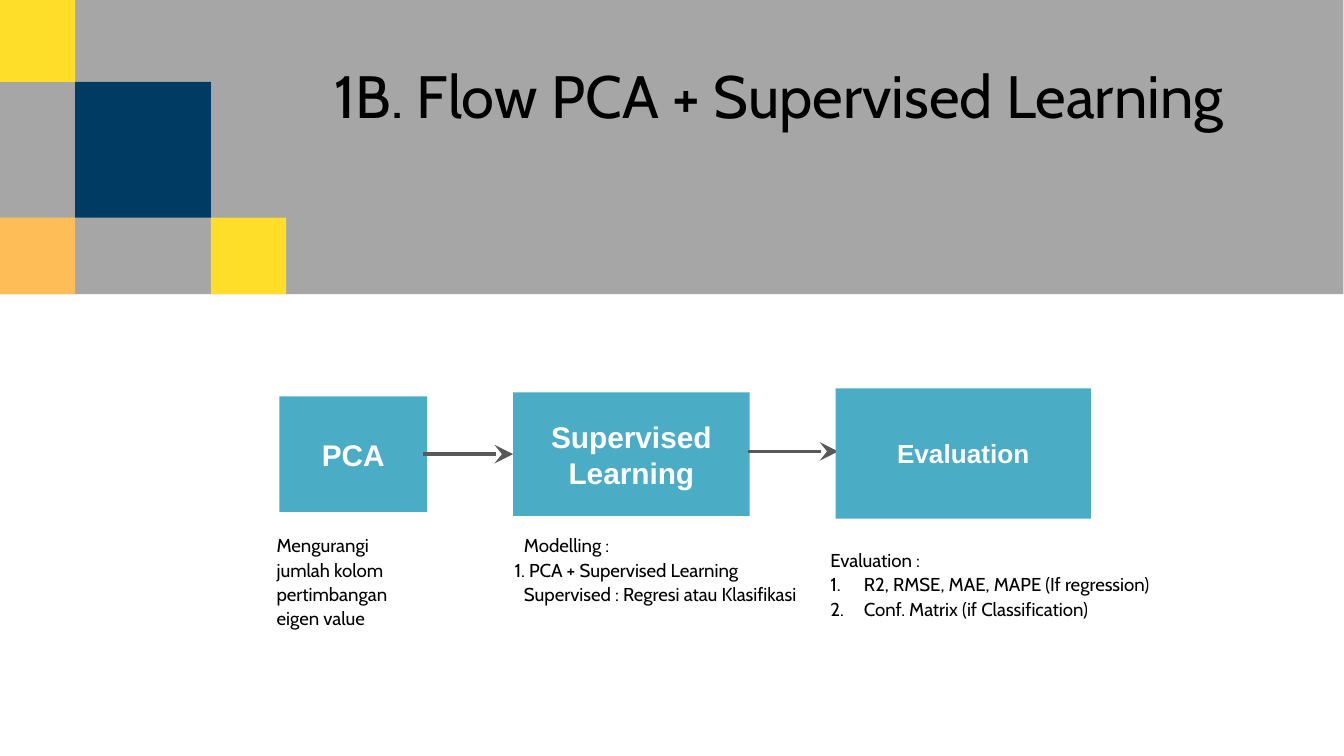
from lxml import etree
from pptx import Presentation
from pptx import util as u
from pptx.dml.color import RGBColor
from pptx.enum import shapes, text
from pptx.oxml import ns

PX = 9144  # EMU in one px, 100 px to the inch
SLIDE_SIZE = (9147175, 5145088)  # EMU, a hair wider than 1000 px
COLORS = {
    "band": "A6A6A6", "yellow": "FFDE2A", "navy": "003B64", "orange": "FFBD58",
    "step": "4BACC6", "arrow": "595959", "light": "FFFFFF", "dark": "000000",
}
TITLE = {"name": "Cabin", "size": u.Pt(32), "bold": False}
NOTE = {"name": "Cabin", "size": u.Pt(10), "bold": False}
STEP = {"name": "Arial", "size": u.Pt(16), "bold": True}


def px(*lengths):
    return [u.Emu(length * PX) for length in lengths]


def color(name):
    return RGBColor.from_string(COLORS[name])


def add_element(parent, tag, **attributes):
    return etree.SubElement(parent, ns.qn(tag), attributes)


class SlideBuilder:
    def __init__(self, presentation, layout):
        self.slide = presentation.slides.add_slide(presentation.slide_layouts[layout])

    def format(self, target, values):
        for name, value in values.items():
            setattr(target, name, value)

    def font(self, paragraph, style, ink):
        self.format(paragraph.font, style)
        paragraph.font.color.rgb = color(ink)

    def place(self, shape, box):
        self.format(shape, dict(zip(("left", "top", "width", "height"), px(*box))))
        self.slide.shapes._spTree.append(shape._element)  # bring to front

    def rectangle(self, box, fill):
        shape = self.slide.shapes.add_shape(shapes.MSO_SHAPE.RECTANGLE, *px(*box))
        shape.shadow.inherit = False
        shape.fill.solid()
        shape.fill.fore_color.rgb = color(fill)
        shape.line.fill.background()
        return shape

    def step(self, box, label, size=16):
        frame = self.rectangle(box, "step").text_frame
        self.format(frame, {"word_wrap": True,
                            "vertical_anchor": text.MSO_ANCHOR.MIDDLE})
        paragraph = frame.paragraphs[0]
        paragraph.text = label
        paragraph.alignment = text.PP_ALIGN.CENTER
        self.font(paragraph, {**STEP, "size": u.Pt(size)}, "light")

    def arrow(self, left, right, y):
        connector = self.slide.shapes.add_connector(
            shapes.MSO_CONNECTOR.STRAIGHT, *px(left, y, right, y))
        connector.line.color.rgb = color("arrow")
        connector.line.width = u.Pt(2)
        add_element(connector.line._get_or_add_ln(), "a:tailEnd",
                    type="stealth", w="lg", len="lg")
        add_element(connector._element.spPr, "a:effectLst")

    def title(self, box, label):
        shape = self.slide.shapes.title
        self.place(shape, box)
        frame = shape.text_frame
        self.format(frame, {
            "word_wrap": True, "auto_size": text.MSO_AUTO_SIZE.NONE,
            "vertical_anchor": text.MSO_ANCHOR.TOP, "margin_left": 0,
            "margin_top": px(1)[0], "margin_right": 0, "margin_bottom": 0})
        paragraph = frame.paragraphs[0]
        paragraph.text = label
        self.format(paragraph, {"alignment": text.PP_ALIGN.CENTER,
                                "line_spacing": 1.09})
        paragraph._p.get_or_add_pPr().set("marL", str(PX))
        self.font(paragraph, TITLE, "dark")

    def note(self, shape, box, lines):
        """Each line is (text, left margin, hanging indent); hanging lines are numbered."""
        self.place(shape, box)
        frame = shape.text_frame
        self.format(frame, {"word_wrap": True,
                            "auto_size": text.MSO_AUTO_SIZE.NONE,
                            "vertical_anchor": text.MSO_ANCHOR.TOP})
        for index, (label, margin, hanging) in enumerate(lines):
            paragraph = frame.add_paragraph() if index else frame.paragraphs[0]
            paragraph.text = label
            self.format(paragraph, {"line_spacing": 1.09, "space_before": u.Pt(0),
                                    "alignment": text.PP_ALIGN.LEFT})
            properties = paragraph._p.get_or_add_pPr()
            properties.set("marL", str(margin * PX))
            properties.set("indent", str(-hanging * PX))
            if hanging:
                bullet_color = add_element(properties, "a:buClr")
                add_element(bullet_color, "a:srgbClr", val=COLORS["dark"])
                add_element(properties, "a:buFont", typeface="+mj-lt")
                add_element(properties, "a:buAutoNum", type="arabicPeriod")
            else:
                add_element(properties, "a:buNone")
            self.font(paragraph, NOTE, "dark")

    def text_note(self, box, lines):
        self.note(self.slide.shapes.add_textbox(*px(*box)), box, lines)

    def list_note(self, index, box, lines):
        self.note(self.slide.placeholders[index], box, lines)


def main():
    presentation = Presentation()
    presentation.slide_width, presentation.slide_height = SLIDE_SIZE
    builder = SlideBuilder(presentation, layout=3)  # title and two bodies

    # Header band and its mosaic
    for box, fill in (
        ((0, 0, 1000, 219), "band"),
        ((0, 0, 56, 61), "yellow"),
        ((157, 162, 56, 57), "yellow"),
        ((56, 61, 101, 101), "navy"),
        ((0, 162, 56, 57), "orange"),
    ):
        builder.rectangle(box, fill)
    builder.title((214, 38, 731, 60), "1B. Flow PCA + Supervised Learning")

    # Flow
    builder.step((208, 295, 110, 86), "PCA")
    builder.step((382, 292, 176, 92), "Supervised Learning")
    builder.arrow(315, 382, 338)
    builder.arrow(557, 624, 336)
    builder.step((622, 289, 190, 97), "Evaluation", size=14)

    # Notes under the steps
    builder.text_note((157, 391, 165, 82), [
        ("Mengurangi jumlah kolom pertimbangan eigen value", 39, 0)])
    builder.list_note(1, (341, 391, 262, 82), [
        ("Modelling :", 39, 0),
        (" PCA + Supervised Learning", 39, 7),
        ("Supervised : Regresi atau Klasifikasi", 39, 0)])
    builder.list_note(2, (569, 402, 299, 82), [
        ("Evaluation :", 39, 0),
        ("R2, RMSE, MAE, MAPE (If regression)", 64, 25),
        ("Conf. Matrix (if Classification)", 64, 25)])

    presentation.save("out.pptx")


if __name__ == "__main__":
    main()
